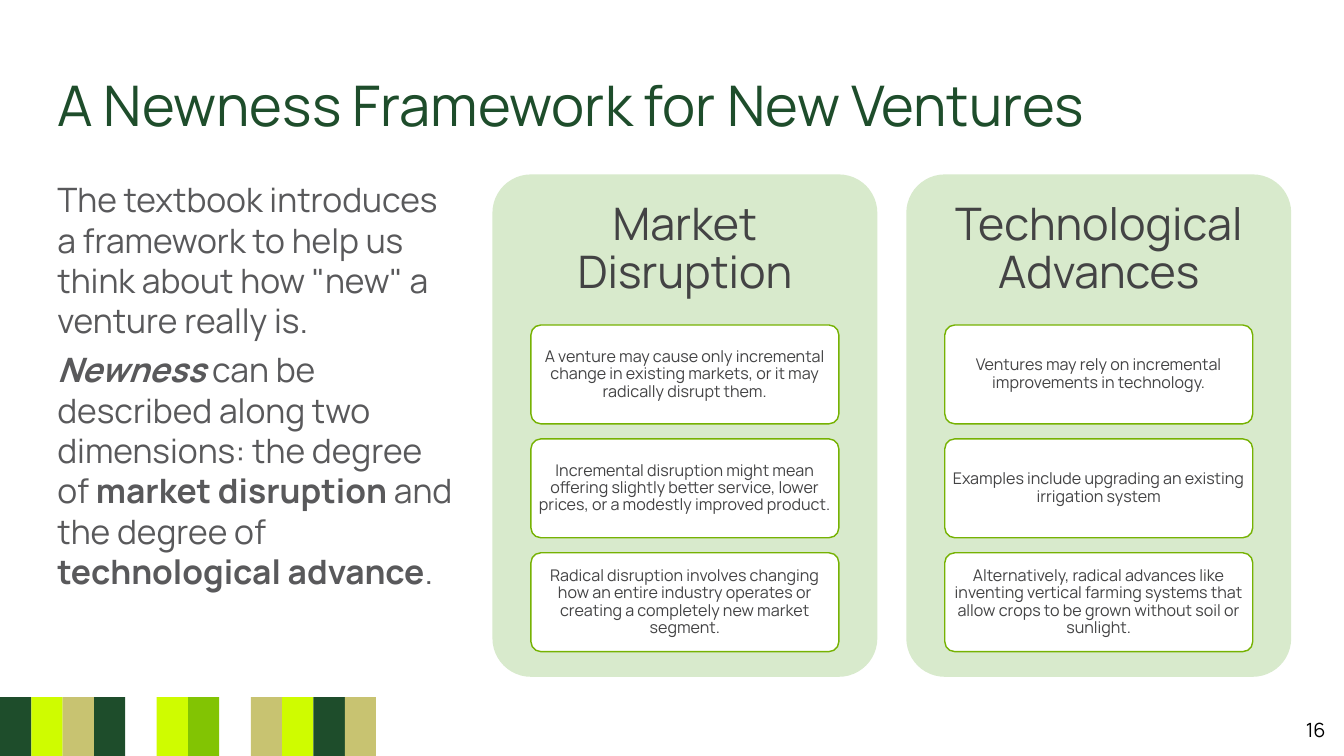
from pptx import Presentation
from pptx.dml.color import RGBColor
from pptx.enum.shapes import MSO_SHAPE as Shape
from pptx.enum.text import MSO_ANCHOR as Anchor, PP_ALIGN as Align
from pptx.util import Cm, Pt

DARK, LIME, SAND, LEAF, WHITE = "1E4D2B", "CFFC00", "C8C371", "82C403", "FFFFFF"
BODY, TEXT, PALE, EDGE = "59595B", "434344", "D8EACC", "76B203"
BOLD = {"bold": True}


def paint(color, code):
    color.rgb = RGBColor.from_string(code)


class Page:
    """Holds the font and the current slide, and draws its elements."""

    def __init__(self, slide, font):
        self.slide, self.font = slide, font

    def label(self, shape, paras, size, color, pad, align=Align.LEFT,
              anchor=Anchor.MIDDLE, pitch=1.0, gap=0):
        frame = shape.text_frame
        side, edge = Cm(pad[0]), Cm(pad[1])
        style = {"word_wrap": True, "vertical_anchor": anchor,
                 "margin_left": side, "margin_right": side,
                 "margin_top": edge, "margin_bottom": edge}
        for key, value in style.items():
            setattr(frame, key, value)
        for i, runs in enumerate(paras):
            para = frame.add_paragraph() if i else frame.paragraphs[0]
            rules = {"alignment": align, "line_spacing": pitch,
                     "space_before": Pt(gap if i else 0)}
            for key, value in rules.items():
                setattr(para, key, value)
            for words, extra in runs:
                run = para.add_run()
                run.text = words
                look = {"name": self.font, "size": Pt(size), **extra}
                for key, value in look.items():
                    setattr(run.font, key, value)
                paint(run.font.color, color)

    def text(self, box, paras, size, color, pad, **style):
        shape = self.slide.shapes.add_textbox(*map(Cm, box))
        self.label(shape, paras, size, color, pad, **style)

    def block(self, box, fill, kind=Shape.RECTANGLE, line=None):
        shape = self.slide.shapes.add_shape(kind, *map(Cm, box))
        shape.shadow.inherit = False
        shape.fill.solid()
        paint(shape.fill.fore_color, fill)
        if line:
            shape.line.width = Pt(2)
            paint(shape.line.color, line)
        else:
            shape.line.fill.background()
        if kind == Shape.ROUNDED_RECTANGLE:
            shape.adjustments[0] = 0.1
        return shape

    def panel(self, left, title, notes):
        style = {"align": Align.CENTER, "pitch": 0.9}
        top, wide = 8.79, 19.4
        self.block((left, top, wide, 25.32), PALE, Shape.ROUNDED_RECTANGLE)
        self.text((left, top, wide, 7.59), [[(title, {})]], 64, TEXT,
                  (0.69, 0.69), **style)
        for i, note in enumerate(notes):
            box = (left + 1.94, 16.38 + i * 5.74, 15.52, 4.98)
            card = self.block(box, WHITE, Shape.ROUNDED_RECTANGLE, EDGE)
            self.label(card, [[(note, {})]], 23, TEXT, (0.15, 0.13), **style)


def main():
    deck = Presentation()
    deck.slide_width, deck.slide_height = Cm(67.74), Cm(38.1)
    page = Page(deck.slides.add_slide(deck.slide_layouts[6]), "Manrope")

    bars = [DARK, LIME, SAND, DARK, WHITE, LIME, LEAF,
            WHITE, SAND, LIME, DARK, SAND, WHITE]
    for i, fill in enumerate(bars):
        page.block((i * 1.58, 35.14, 1.58, 2.96), fill)

    page.text((2.64, 3.1, 62.46, 4.27),
              [[("A Newness Framework for New Ventures", {})]],
              80, DARK, (0.25, 0.25))
    intro = [
        [('The textbook introduces a framework to help us think about '
          'how "new" a venture really is.', {})],
        [("Newness", {"bold": True, "italic": True}),
         (" can be described along two dimensions: the degree of ", {}),
         ("market disruption", BOLD),
         (" and the degree of ", {}),
         ("technological advance", BOLD),
         (".", {})],
    ]
    page.text((2.64, 8.79, 20.42, 25.55), intro, 48, BODY, (0.25, 0.25),
              anchor=Anchor.TOP, gap=12.5)
    page.text((64.49, 36.17, 2.57, 1.24), [[("16", {})]], 28, "000000",
              (0.25, 0.13), align=Align.RIGHT)

    panels = {
        "Market Disruption": [
            "A venture may cause only incremental change in existing markets, "
            "or it may radically disrupt them.",
            "Incremental disruption might mean offering slightly better "
            "service, lower prices, or a modestly improved product.",
            "Radical disruption involves changing how an entire industry "
            "operates or creating a completely new market segment.",
        ],
        "Technological Advances": [
            "Ventures may rely on incremental improvements in technology.",
            "Examples include upgrading an existing irrigation system",
            "Alternatively, radical advances like inventing vertical farming "
            "systems that allow crops to be grown without soil or sunlight.",
        ],
    }
    for i, (title, notes) in enumerate(panels.items()):
        page.panel(24.82 + i * 20.86, title, notes)

    deck.save("out.pptx")


if __name__ == "__main__":
    main()
